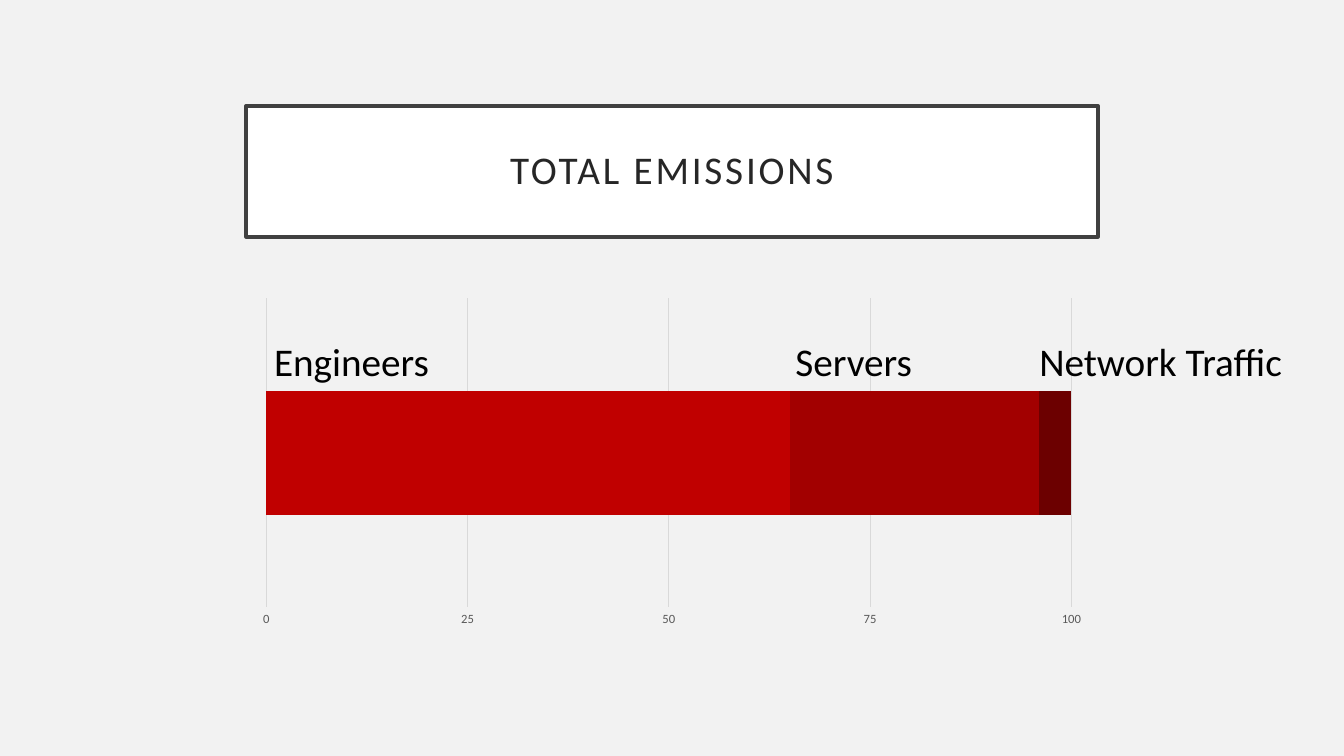
from dataclasses import dataclass

from pptx import Presentation
from pptx.chart.data import CategoryChartData
from pptx.dml.color import RGBColor
from pptx.enum.chart import XL_CHART_TYPE, XL_TICK_MARK
from pptx.enum.shapes import MSO_SHAPE
from pptx.enum.text import MSO_ANCHOR, MSO_AUTO_SIZE, PP_ALIGN
from pptx.util import Inches, Pt

STACKED_BAR = XL_CHART_TYPE.BAR_STACKED
NO_TICKS = XL_TICK_MARK.NONE
RECTANGLE = MSO_SHAPE.RECTANGLE
MIDDLE = MSO_ANCHOR.MIDDLE
GROW = MSO_AUTO_SIZE.SHAPE_TO_FIT_TEXT
CENTER = PP_ALIGN.CENTER
LEFT = PP_ALIGN.LEFT


@dataclass(frozen=True)
class Theme:
    """Fonts, colours and type sizes of the slide."""
    font: str = "Calibri"
    background: str = "F2F2F2"
    panel: str = "FFFFFF"
    border: str = "404040"
    heading: str = "262626"
    label: str = "000000"
    axis: str = "595959"
    grid: str = "D9D9D9"
    large: int = 28
    chart: int = 10
    small: int = 9


EMISSIONS = [
    ("Series 1", 65, "C00000"),
    ("Series 2", 31, "A20000"),
    ("Series 3", 4, "6C0000"),
]
LABELS = [
    ("Engineers", 2.62, 1.89),
    ("Servers", 7.79, 1.74),
    ("Network Traffic", 10.21, 2.89),
]


def rgb(value):
    """Turn a hex string into a colour."""
    return RGBColor.from_string(value)


def style_font(font, name, size, color):
    """Set the face, size and colour of a font."""
    font.name = name
    font.size = Pt(size)
    font.color.rgb = rgb(color)


def write_text(frame, text, *, font, size, color, align=LEFT, leading=None, tracking=None):
    """Write one formatted line into a text frame."""
    paragraph = frame.paragraphs[0]
    paragraph.alignment = align
    if leading:
        paragraph.line_spacing = leading
    run = paragraph.add_run()
    run.text = text
    style_font(run.font, font, size, color)
    if tracking:
        run._r.get_or_add_rPr().set("spc", str(tracking * 100))


class SlideBuilder:
    """Holds the theme and the slide being built."""

    def __init__(self, slide, theme):
        """Keep the slide and theme and paint the background."""
        self.slide = slide
        self.theme = theme
        backdrop = slide.background.fill
        backdrop.solid()
        backdrop.fore_color.rgb = rgb(theme.background)

    def stacked_bar(self, series, left, top, width, height):
        """Add one horizontal bar split into coloured series."""
        theme = self.theme
        data = CategoryChartData()
        data.categories = ["1"]
        for name, share, _ in series:
            data.add_series(name, [share])
        chart = self.slide.shapes.add_chart(
            STACKED_BAR, Inches(left), Inches(top), Inches(width), Inches(height), data
        ).chart
        chart.has_legend = False
        chart.has_title = False
        style_font(chart.font, theme.font, theme.chart, theme.label)
        plot = chart.plots[0]
        plot.gap_width = 150
        plot.overlap = 100
        plot.vary_by_categories = False
        for segment, (_, _, color) in zip(plot.series, series):
            segment.format.fill.solid()
            segment.format.fill.fore_color.rgb = rgb(color)
        chart.category_axis.visible = False
        scale = chart.value_axis
        scale.minimum_scale, scale.maximum_scale, scale.major_unit = 0, 100, 25
        scale.major_tick_mark = scale.minor_tick_mark = NO_TICKS
        scale.format.line.fill.background()
        style_font(scale.tick_labels.font, theme.font, theme.small, theme.axis)
        gridline = scale.major_gridlines.format.line
        gridline.color.rgb = rgb(theme.grid)
        gridline.width = Pt(0.75)

    def title(self, text, left, top, width, height):
        """Add the framed slide title."""
        theme = self.theme
        panel = self.slide.shapes.add_shape(
            RECTANGLE, Inches(left), Inches(top), Inches(width), Inches(height)
        )
        panel.shadow.inherit = False
        panel.fill.solid()
        panel.fill.fore_color.rgb = rgb(theme.panel)
        panel.line.color.rgb = rgb(theme.border)
        panel.line.width = Pt(2.5)
        frame = panel.text_frame
        frame.word_wrap = True
        frame.vertical_anchor = MIDDLE
        frame.margin_left = frame.margin_right = Inches(0.2)
        frame.margin_top = frame.margin_bottom = Inches(0.2)
        write_text(frame, text, font=theme.font, size=theme.large, color=theme.heading,
                   align=CENTER, leading=0.9, tracking=2)

    def label(self, text, left, top, width, height):
        """Add a label above a bar segment."""
        theme = self.theme
        frame = self.slide.shapes.add_textbox(
            Inches(left), Inches(top), Inches(width), Inches(height)
        ).text_frame
        frame.word_wrap = True
        frame.auto_size = GROW
        write_text(frame, text, font=theme.font, size=theme.large, color=theme.label)


def main():
    """Build and save the emissions slide."""
    deck = Presentation()
    deck.slide_width = Inches(13.33)
    deck.slide_height = Inches(7.5)
    builder = SlideBuilder(deck.slides.add_slide(deck.slide_layouts[6]), Theme())
    builder.stacked_bar(EMISSIONS, 2.44, 2.89, 8.45, 3.39)
    builder.title("TOTAL EMISSIONS", 2.44, 1.05, 8.45, 1.3)
    for text, left, width in LABELS:
        builder.label(text, left, 3.3, width, 0.57)
    deck.save("out.pptx")


if __name__ == "__main__":
    main()
